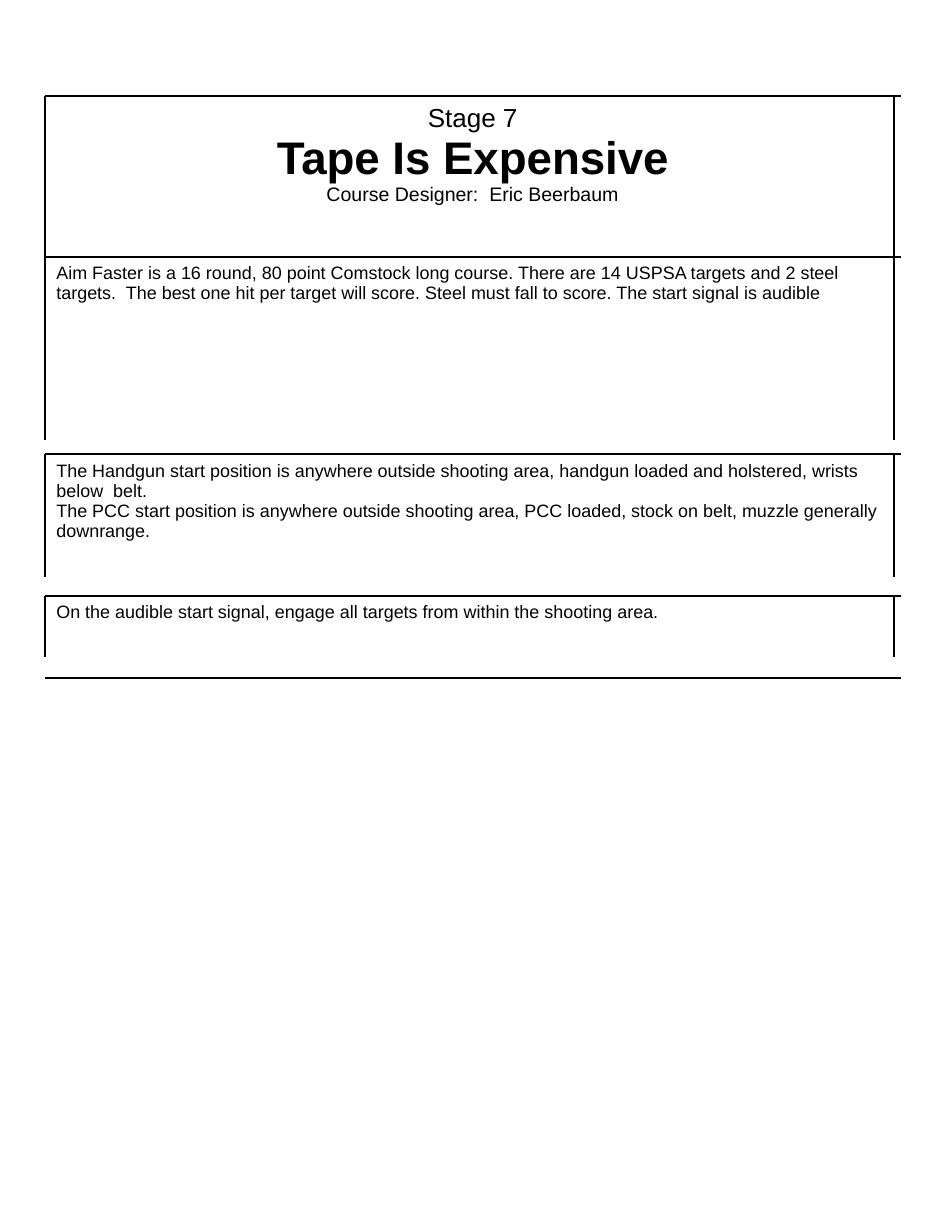
"""Build the stage briefing sheet with its four ruled panels."""
from lxml import etree
from pptx import Presentation
from pptx.dml.color import RGBColor
from pptx.enum import shapes, text
from pptx.oxml import ns
from pptx.util import Cm, Pt

LEFT, WIDTH, RIGHT_RULE, BOTTOM_RULE = 0.97, 18.52, 19.35, 14.68
BLACK, WHITE = "000000", "FFFFFF"
CENTER, START = text.PP_ALIGN.CENTER, text.PP_ALIGN.LEFT

PANELS = [
    {"top": 2.08, "height": 3.96, "inset": 0.18, "align": CENTER, "lines": [
        ("Stage 7", 16, False),
        ("Tape Is Expensive", 28, True),
        ("Course Designer:  Eric Beerbaum", 12, False)]},
    {"top": 5.56, "height": 3.97, "inset": 0.15, "align": START, "lines": [
        ("Aim Faster is a 16 round, 80 point Comstock long course. "
         "There are 14 USPSA targets and 2 steel targets.  The best one hit per target "
         "will score. Steel must fall to score. The start signal is audible", 11, False)]},
    {"top": 9.83, "height": 2.65, "inset": 0.15, "align": START, "lines": [
        ("The Handgun start position is anywhere outside shooting area, "
         "handgun loaded and holstered, wrists below  belt.", 11, False),
        ("The PCC start position is anywhere outside shooting area, "
         "PCC loaded, stock on belt, muzzle generally downrange.", 11, False)]},
    {"top": 12.9, "height": 1.32, "inset": 0.15, "align": START, "lines": [
        ("On the audible start signal, engage all targets "
         "from within the shooting area.", 11, False)]},
]


def color(value):
    return RGBColor.from_string(value)


def add_panel(slide, panel):
    shape = slide.shapes.add_shape(
        shapes.MSO_SHAPE.RECTANGLE, Cm(LEFT), Cm(panel["top"]), Cm(WIDTH), Cm(panel["height"]))
    shape.shadow.inherit = False
    shape.fill.solid()
    shape.fill.fore_color.rgb = color(WHITE)
    shape.line.fill.background()
    frame = shape.text_frame
    frame.word_wrap = True
    frame.vertical_anchor = text.MSO_ANCHOR.TOP
    frame.margin_left = frame.margin_right = Cm(0.25)
    frame.margin_top, frame.margin_bottom = Cm(panel["inset"]), Cm(0.13)
    for index, (words, size, bold) in enumerate(panel["lines"]):
        paragraph = frame.add_paragraph() if index else frame.paragraphs[0]
        paragraph.alignment = panel["align"]
        paragraph.line_spacing = 0.93
        run = paragraph.add_run()
        run.text = words
        run.font.name, run.font.size, run.font.bold = "Arial", Pt(size), bold
        run.font.color.rgb = color(BLACK)


def add_rule(slide, x1, y1, x2, y2):
    rule = slide.shapes.add_connector(
        shapes.MSO_CONNECTOR.STRAIGHT, Cm(x1), Cm(y1), Cm(x2), Cm(y2))
    rule.line.color.rgb = color(BLACK)
    rule.line.width = Pt(0.91)
    etree.SubElement(rule._element.spPr, ns.qn("a:effectLst"))


def main():
    presentation = Presentation()
    presentation.slide_width, presentation.slide_height = Cm(20.32), Cm(26.67)
    slide = presentation.slides.add_slide(presentation.slide_layouts[6])
    for panel in PANELS:
        add_panel(slide, panel)
    for y in [panel["top"] for panel in PANELS] + [BOTTOM_RULE]:
        add_rule(slide, LEFT, y, LEFT + WIDTH, y)
    for x in (LEFT, RIGHT_RULE):
        for panel in PANELS:
            add_rule(slide, x, panel["top"], x, panel["top"] + panel["height"])
    presentation.save("out.pptx")


if __name__ == "__main__":
    main()
